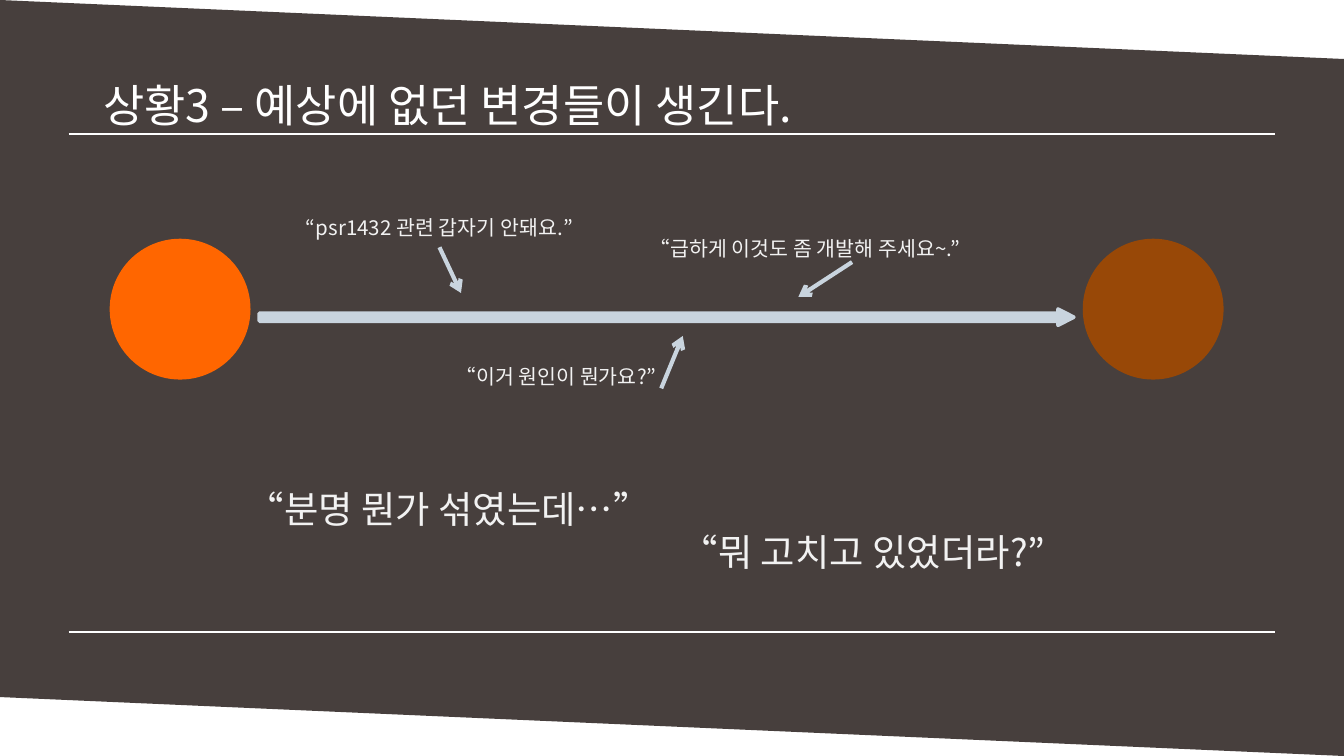
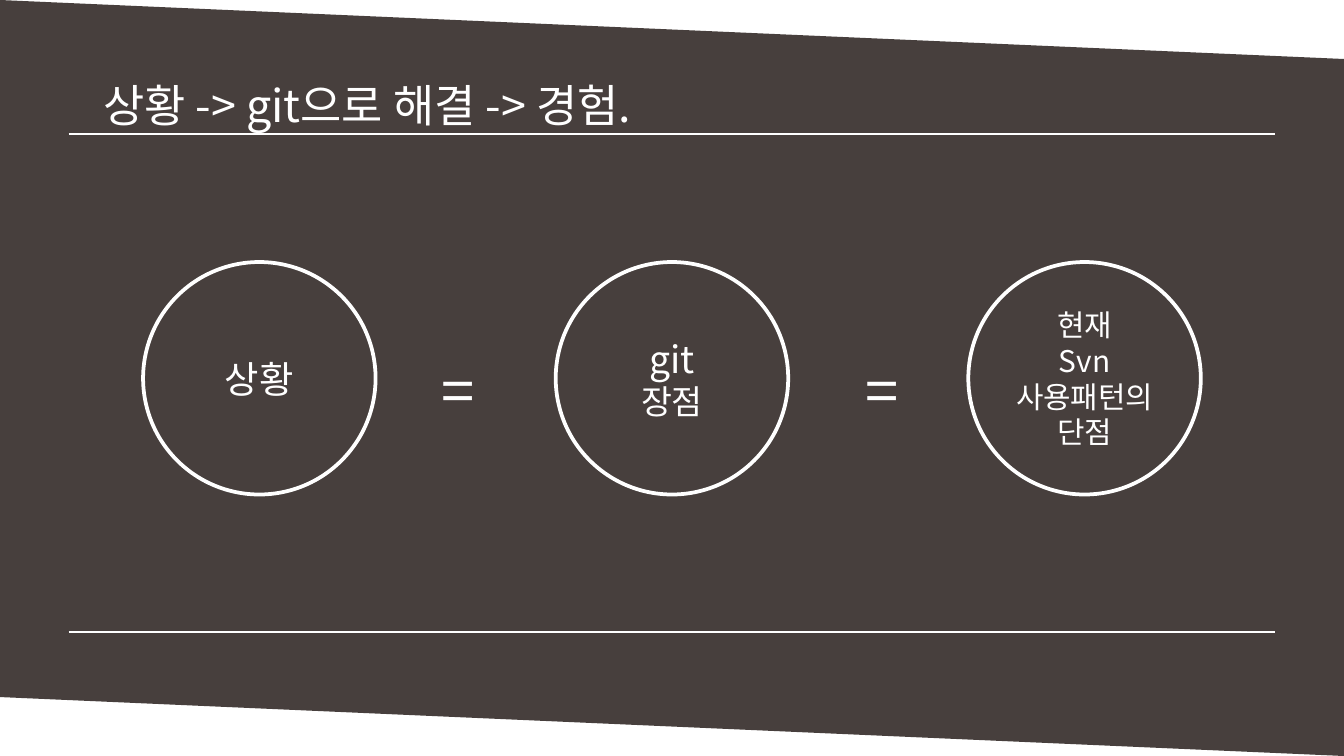
from lxml.etree import SubElement
from pptx import Presentation
from pptx.dml.color import RGBColor
from pptx.enum.shapes import MSO_CONNECTOR, MSO_SHAPE
from pptx.enum.text import MSO_ANCHOR, MSO_AUTO_SIZE, PP_ALIGN
from pptx.oxml.ns import qn
from pptx.util import Inches, Pt

FONT = "Noto Sans CJK KR"
WHITE, PALE, STEEL = "FFFFFF", "F2F2F2", "C9D4DE"
BACKDROP, ORANGE, BROWN = "473F3D", "FF6600", "984807"
COLS, ROWS = 100, 56.25  # square grid cells
CELL = 0.1  # inches


def grid(*cells):
    return [Inches(c * CELL) for c in cells]


def rgb(value):
    return RGBColor.from_string(value)


def write(tf, text, size=11, color=WHITE, align=PP_ALIGN.LEFT):
    """Fill a text frame, one paragraph a line; size may be a list, one a line."""
    lines = text.split("\n")
    sizes = size if isinstance(size, list) else [size] * len(lines)
    tf.word_wrap = True
    for i, (line, points) in enumerate(zip(lines, sizes)):
        p = tf.add_paragraph() if i else tf.paragraphs[0]
        p.alignment = align
        r = p.add_run()
        r.text = line
        r.font.name = FONT
        r.font.size = Pt(points)
        r.font.color.rgb = rgb(color)
        SubElement(r._r.get_or_add_rPr(), qn("a:ea"), typeface=FONT)


class Deck:
    def __init__(self):
        self.prs = Presentation()
        self.prs.slide_width, self.prs.slide_height = grid(COLS, ROWS)
        self.s = None

    def slide(self, title):
        self.s = self.prs.slides.add_slide(self.prs.slide_layouts[6])
        offset = (COLS - ROWS) / 2
        band = self.shape(MSO_SHAPE.PARALLELOGRAM, offset, -offset, ROWS, COLS,
                          fill=BACKDROP, adjust=[0.078])
        band.rotation = 270
        self.text(title, 6.7, 5.3, 90, 5, size=24)
        for row in (10, 47):
            self.line(5.1, row, COLS - 5.1, row)

    def shape(self, kind, x, y, w, h, fill=None, line=None, adjust=()):
        sp = self.s.shapes.add_shape(kind, *grid(x, y, w, h))
        sp.shadow.inherit = False
        for i, value in enumerate(adjust):
            sp.adjustments[i] = value
        if fill:
            sp.fill.solid()
            sp.fill.fore_color.rgb = rgb(fill)
        else:
            sp.fill.background()
        if line:
            sp.line.color.rgb = rgb(line)
            sp.line.width = Pt(2)
        else:
            sp.line.fill.background()
        return sp

    def circle(self, x, y, diameter, text="", size=20, fill=None, line=WHITE):
        sp = self.shape(MSO_SHAPE.OVAL, x, y, diameter, diameter, fill, line)
        if text:
            sp.text_frame.vertical_anchor = MSO_ANCHOR.MIDDLE
            write(sp.text_frame, text, size=size, align=PP_ALIGN.CENTER)

    def text(self, text, x, y, w, h, **style):
        tf = self.s.shapes.add_textbox(*grid(x, y, w, h)).text_frame
        tf.auto_size = MSO_AUTO_SIZE.SHAPE_TO_FIT_TEXT
        write(tf, text, **style)

    def quote(self, text, x, y, w, h, size=11):
        self.text(text, x, y, w, h, size=size, color=PALE, align=PP_ALIGN.CENTER)

    def line(self, x1, y1, x2, y2, color=WHITE, width=1, arrow=False):
        c = self.s.shapes.add_connector(MSO_CONNECTOR.STRAIGHT, *grid(x1, y1, x2, y2))
        c.line.color.rgb = rgb(color)
        c.line.width = Pt(width)
        if arrow:
            SubElement(c.line._get_or_add_ln(), qn("a:tailEnd"), type="arrow")
        SubElement(c._element.spPr, qn("a:effectLst"))


def interruptions(deck):
    deck.slide("상황3 – 예상에 없던 변경들이 생긴다.")
    deck.shape(MSO_SHAPE.RIGHT_ARROW, 19.3, 23, 60.6, 1.2,
               fill=STEEL, line=STEEL, adjust=[0.5, 0.976])
    for x, color in ((8.3, ORANGE), (80.7, BROWN)):
        deck.circle(x, 17.9, 10.2, fill=color, line=color)
    requests = [
        ("“psr1432 관련 갑자기 안돼요.”", (20.9, 15.5, 23.6), (32.7, 18.4, 34.3, 21.8)),
        ("“이거 원인이 뭔가요?”", (31.9, 26.6, 18.9), (49.2, 28.9, 50.8, 25)),
        ("“급하게 이것도 좀 개발해 주세요~.”", (46.9, 17.1, 26), (63.4, 19.5, 59.4, 22.1)),
    ]
    for words, box, pointer in requests:
        deck.quote(words, *box, 2.9)
        deck.line(*pointer, color=STEEL, width=2.25, arrow=True)
    deck.quote("“분명 뭔가 섞였는데…”", 9.8, 35.7, 47.2, 4.4, size=20)
    deck.quote("“뭐 고치고 있었더라?”", 39, 38.9, 50.4, 4.4, size=20)


def equation(deck):
    deck.slide("상황 -> git으로 해결 -> 경험.")
    terms = [("상황", 20), ("git\n장점", [20, 18]), ("현재\nSvn 사용패턴의\n단점", 16)]
    diameter, step = 17.3, 30.7
    left = (COLS - diameter) / 2 - step
    for i, (words, size) in enumerate(terms):
        deck.circle(left + i * step, 19.5, diameter, words, size)
    for x in (31.9, 63.4):
        deck.text("=", x, 25.8, 4.7, 6.4, size=32)


def main():
    deck = Deck()
    interruptions(deck)
    equation(deck)
    deck.prs.save("out.pptx")


if __name__ == "__main__":
    main()
